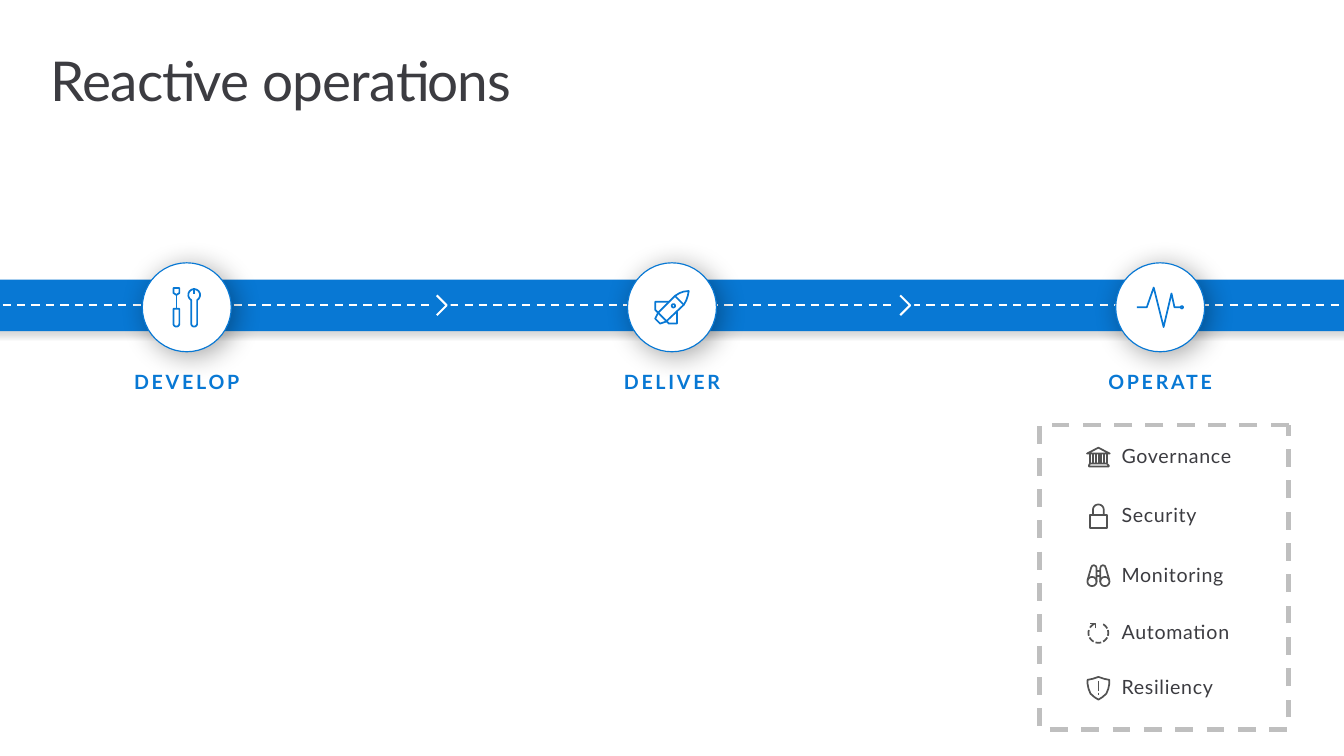
from dataclasses import dataclass
from math import cos, radians, sin

from lxml import etree
from pptx import Presentation
from pptx import util as u
from pptx.dml.color import RGBColor
from pptx.enum import dml, shapes, text
from pptx.oxml.ns import qn

# Grid of square cells: 136 columns by 76.5 rows
COLUMNS, ROWS = 136, 76.5
CELL = u.Inches(0.1)


@dataclass(frozen=True)
class Theme:
    font: str = "Lato"
    accent: str = "0878D4"
    white: str = "FFFFFF"
    ink: str = "3C3C41"
    icon: str = "525252"
    frame: str = "BFBFBF"
    title_size: float = 40
    label_size: float = 14.3
    icon_line: float = 1.25


@dataclass(frozen=True)
class Box:
    left: float
    top: float
    width: float
    height: float

    def emu(self):
        return [grid(n) for n in (self.left, self.top, self.width, self.height)]


@dataclass(frozen=True)
class Icon:
    """Strokes are (points, closed) in tenths of a cell."""
    width: float
    height: float
    strokes: tuple


THEME = Theme()


def grid(cells):
    return u.Emu(round(cells * CELL))


def arc(x, y, radius, start, end, steps=12):
    angles = [radians(start + (end - start) * i / steps) for i in range(steps + 1)]
    return [(x + radius * cos(a), y + radius * sin(a)) for a in angles]


# Icon outlines
CHEVRON = Icon(10, 20, (([(0, 0), (10, 10), (0, 20)], False),))
TOOLS = Icon(27, 39, (
    (arc(21, 7, 6, 120, 420) + arc(21, 36, 3, 0, 180), True),
    ([(0, 21), (6, 21)] + arc(3, 36, 3, 0, 180), True),
    ([(0, 0), (6, 0), (6, 5), (3, 7), (0, 5)], True),
    ([(3, 7), (3, 21)], False),
    ([(21, 0), (21, 6)], False)))
ROCKET = Icon(34, 33, (
    ([(34, 0), (33, 5), (31.5, 9.5), (29, 14), (11, 31), (5, 33), (0, 28),
      (3, 22), (14, 11), (20, 5), (25, 2), (29, 0.6)], True),
    ([(20, 5), (29, 14)], False),
    ([(14, 11), (0, 11), (0, 19), (3, 22), (14, 33), (22, 33), (22, 20)], False),
    (arc(18.5, 15, 1.7, 0, 360), True)))
PULSE = Icon(47, 40, (
    ([(0, 20), (10, 20), (17, 0), (27, 40), (35, 6), (38, 20), (44, 20)], False),
    (arc(45.5, 20, 1.2, 0, 360), True)))
TEMPLE = Icon(23, 19, (
    ([(0, 6), (11.5, 0), (23, 6)], True),
    ([(2, 19), (2, 18), (3, 16), (20, 16), (22, 18), (22, 19)], True),
    *(([(x, 16), (x, 6)], False) for x in (3, 6, 9, 12, 14, 17, 20))))
LOCK = Icon(17, 24, (
    ([(0, 11), (17, 11), (17, 24), (0, 24)], True),
    ([(3, 11)] + arc(8.5, 5.5, 5.5, 180, 360) + [(14, 11)], False)))
BINOCULARS = Icon(23, 21, (
    (arc(5, 16.5, 4.7, 0, 360), True),
    (arc(18, 16.5, 4.7, 0, 360), True),
    ([(0.5, 15), (4, 3), (5, 0.7), (7, 0), (9, 1), (9.6, 3), (9.6, 17)], False),
    ([(22.5, 15), (19, 3), (18, 0.7), (16, 0), (14, 1), (13.4, 3), (13.4, 17)], False),
    ([(10, 6), (13, 6)], False),
    ([(10, 11), (13, 11)], False)))
CYCLE = Icon(20, 19, (
    *((arc(10, 9.5, 10, middle - 17, middle + 17), False)
      for middle in (0, 44, 90, 136, 180, 230, 316)),
    ([(7, 5), (7, 0), (2, 0)], False)))
SHIELD = Icon(22, 23, (
    ([(11, 0), (17, 2), (22, 3), (22, 7), (21, 12), (19, 17), (15, 20.5), (11, 23),
      (7, 20.5), (3, 17), (1, 12), (0, 7), (0, 3), (5, 2)], True),
    ([(11, 4), (11, 14)], False),
    ([(11, 16), (11, 18)], False)))


def rgb(color):
    return RGBColor.from_string(color)


def style(shape, fill=None, line=None, weight=1, dash=None):
    shape.shadow.inherit = False
    if fill:
        shape.fill.solid()
        shape.fill.fore_color.rgb = rgb(fill)
    else:
        shape.fill.background()
    if line:
        shape.line.color.rgb = rgb(line)
        shape.line.width = u.Pt(weight)
        shape.line.dash_style = dash
    else:
        shape.line.fill.background()


def add_shadow(shape, opacity, blur, distance, angle):
    effects = shape._element.spPr.find(qn("a:effectLst"))
    shadow = etree.SubElement(
        effects, qn("a:outerShdw"), blurRad=str(u.Pt(blur)), dist=str(u.Pt(distance)),
        dir=str(angle * 60000), algn="ctr", rotWithShape="0")
    color = etree.SubElement(shadow, qn("a:srgbClr"), val="000000")
    etree.SubElement(color, qn("a:alpha"), val=str(opacity * 1000))


def add_icon(slide, icon, center_x, center_y, color, weight=THEME.icon_line):
    builder = None
    for points, closed in icon.strokes:
        start, *rest = [(x * 10, y * 10) for x, y in points]
        if builder is None:
            builder = slide.shapes.build_freeform(*start, scale=CELL / 100)
        else:
            builder.move_to(*start)
        builder.add_line_segments(rest, close=closed)
    shape = builder.convert_to_shape(grid(center_x - icon.width / 20),
                                     grid(center_y - icon.height / 20))
    style(shape, line=color, weight=weight)


def add_text(slide, box, words, size, color, spacing, insets=(0, 0, 0, 0),
             bold=False, wrap=True, anchor=text.MSO_ANCHOR.MIDDLE,
             align=text.PP_ALIGN.LEFT, line_spacing=1.0):
    frame = slide.shapes.add_textbox(*box.emu()).text_frame
    frame.text = words
    frame.word_wrap = wrap
    frame.vertical_anchor = anchor
    (frame.margin_left, frame.margin_top,
     frame.margin_right, frame.margin_bottom) = map(grid, insets)
    paragraph = frame.paragraphs[0]
    paragraph.alignment = align
    paragraph.line_spacing = line_spacing
    run = paragraph.runs[0]
    run.font.name = THEME.font
    run.font.size = u.Pt(size)
    run.font.bold = bold
    run.font.color.rgb = rgb(color)
    run._r.get_or_add_rPr().set("spc", str(round(spacing * 100)))


def add_road(slide, box):
    band = slide.shapes.add_shape(shapes.MSO_SHAPE.RECTANGLE, *box.emu())
    style(band, fill=THEME.accent)
    add_shadow(band, 14, 4, 3, 90)
    # Dashed centre line
    middle = box.top + box.height / 2
    lane = slide.shapes.add_connector(
        shapes.MSO_CONNECTOR.STRAIGHT, grid(box.left), grid(middle),
        grid(box.left + box.width), grid(middle))
    lane.line.color.rgb = rgb(THEME.white)
    lane.line.width = u.Pt(1.5)
    lane.line.dash_style = dml.MSO_LINE.DASH
    etree.SubElement(lane._element.spPr, qn("a:effectLst"))
    # Direction marks, each on a gap in the line
    for offset in (44.7, 91.6):
        left = box.left + offset
        gap = slide.shapes.add_shape(shapes.MSO_SHAPE.RECTANGLE,
                                     *Box(left, middle - 1, 2.1, 2.1).emu())
        style(gap, fill=THEME.accent)
        add_icon(slide, CHEVRON, left + 1.2, middle, THEME.white, 1.5)


def add_station(slide, box, name, icon):
    diameter = 9
    center_x, center_y = box.left + box.width / 2, box.top + diameter / 2
    disc = slide.shapes.add_shape(
        shapes.MSO_SHAPE.OVAL,
        *Box(center_x - diameter / 2, box.top, diameter, diameter).emu())
    style(disc, fill=THEME.white, line=THEME.accent, weight=0.85)
    add_shadow(disc, 35, 20, 4, 45)
    add_icon(slide, icon, center_x, center_y, THEME.accent)
    add_text(slide, Box(box.left, box.top + 8.8, box.width, 6.5), name,
             THEME.label_size, THEME.accent, 2, insets=(2, 1.6, 2, 1.6), bold=True,
             wrap=False, align=text.PP_ALIGN.CENTER)


def add_practices(slide, box, practices):
    frame = slide.shapes.add_shape(shapes.MSO_SHAPE.RIGHT_ARROW, *box.emu())
    frame.adjustments[0], frame.adjustments[1] = 1, 0
    frame._element.spPr.xfrm.set("flipH", "1")
    style(frame, line=THEME.frame, weight=3.25, dash=dml.MSO_LINE.DASH)
    for name, icon, offset in practices:
        row = Box(box.left + 4.2, box.top + offset, 24.4, 2.7)
        add_text(slide, row, name, THEME.label_size, THEME.ink, 0.5,
                 insets=(4.1, 1, 1, 1), line_spacing=0.9)
        add_icon(slide, icon, row.left + 1.75, row.top + row.height / 2, THEME.icon)


def main():
    presentation = Presentation()
    presentation.slide_width, presentation.slide_height = grid(COLUMNS), grid(ROWS)
    slide = presentation.slides.add_slide(presentation.slide_layouts[6])

    add_road(slide, Box(-1.2, 28.3, 140.2, 5.2))
    add_text(slide, Box(5.1, 6.9, 126.1, 4.6), "Reactive operations", THEME.title_size,
             THEME.ink, -0.5, anchor=text.MSO_ANCHOR.TOP, line_spacing=u.Pt(32))
    add_practices(slide, Box(105.2, 43, 25.2, 30.8), (
        ("Governance", TEMPLE, 1.9), ("Security", LOCK, 7.9),
        ("Monitoring", BINOCULARS, 13.9), ("Automation", CYCLE, 19.7),
        ("Resiliency", SHIELD, 25.3)))
    for left, name, icon in ((6.7, "DEVELOP", TOOLS), (55.8, "DELIVER", ROCKET),
                             (105.2, "OPERATE", PULSE)):
        add_station(slide, Box(left, 26.6, 24.4, 15.3), name, icon)

    presentation.save("out.pptx")


if __name__ == "__main__":
    main()
